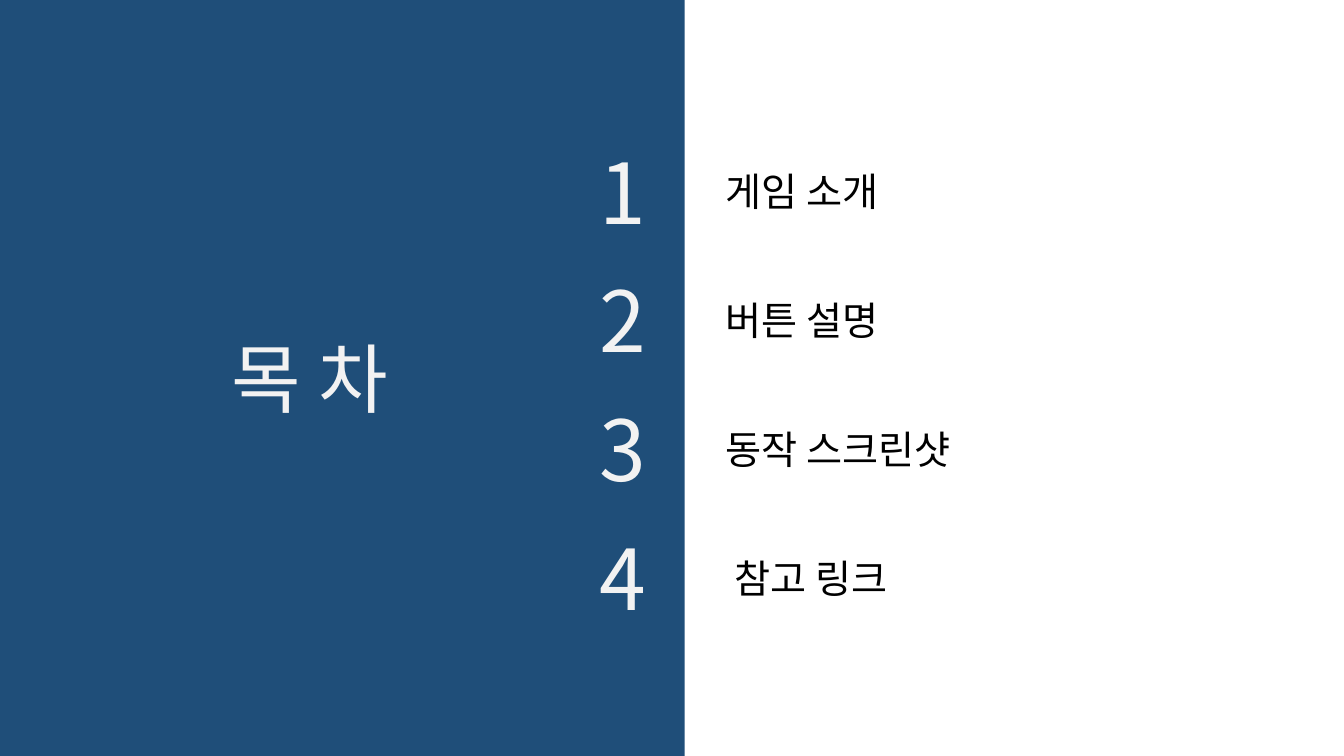
from lxml import etree
from pptx import Presentation
from pptx.dml.color import RGBColor
from pptx.enum.shapes import MSO_SHAPE
from pptx.enum.text import MSO_ANCHOR, MSO_AUTO_SIZE, PP_ALIGN
from pptx.oxml.ns import qn
from pptx.util import Pt

RECT = MSO_SHAPE.RECTANGLE
TOP = MSO_ANCHOR.TOP
FIXED = MSO_AUTO_SIZE.NONE
LEFT = PP_ALIGN.LEFT

FONT = "Noto Sans CJK KR"
NAVY, PALE, BLACK = "1F4E79", "F2F2F2", "000000"
WIDTH, HEIGHT = 960, 540
PANEL_WIDTH = 489
ITEM_PITCH = 92
FRAME = {"word_wrap": True, "auto_size": FIXED, "vertical_anchor": TOP}
ITEMS = [
    ("1", 39, "게임 소개", 142),
    ("2", 52, "버튼 설명", 135),
    ("3", 52, "동작 스크린샷", 192),
    ("4", 54, " 참고 링크", 142),
]


def color(value):
    return RGBColor.from_string(value)


def fill(sp, hue):
    sp.fill.solid()
    sp.fill.fore_color.rgb = color(hue)


def place(sp, x, y, w, h):
    box = {"left": x, "top": y, "width": w, "height": h}
    for name, value in box.items():
        setattr(sp, name, Pt(value))


def write(sp, text, size, hue):
    tf = sp.text_frame
    for name, value in FRAME.items():
        setattr(tf, name, value)
    p = tf.paragraphs[0]
    p.alignment = LEFT
    p.line_spacing = 1.0
    r = p.add_run()
    r.text = text
    for name, value in {"name": FONT, "size": Pt(size)}.items():
        setattr(r.font, name, value)
    r.font.color.rgb = color(hue)
    etree.SubElement(r.font._element, qn("a:ea"), typeface=FONT)


def add_block(s, x, y, w, h):
    sp = s.shapes.add_shape(RECT, Pt(x), Pt(y), Pt(w), Pt(h))
    sp.shadow.inherit = False
    fill(sp, NAVY)
    sp.line.fill.background()
    return sp


def title_panel(s, x, y, w, h):
    panel = add_block(s, x, y, w, h)
    title = s.shapes.title
    place(title, x + 158.4, y + 233.6, 140, 73)
    fill(title, NAVY)
    write(title, "목 차", 54, PALE)
    panel._element.addnext(title._element)


def contents_list(s, x, y):
    for i, (number, number_width, text, text_width) in enumerate(ITEMS):
        top = y + i * ITEM_PITCH
        write(add_block(s, x, top, number_width, 80), number, 60, PALE)
        label = s.shapes.add_textbox(Pt(x + 90), Pt(top + 19.6), Pt(text_width), Pt(41))
        write(label, text, 28, BLACK)


def main():
    prs = Presentation()
    prs.slide_width, prs.slide_height = Pt(WIDTH), Pt(HEIGHT)
    s = prs.slides.add_slide(prs.slide_layouts[5])
    title_panel(s, 0, 0, PANEL_WIDTH, HEIGHT)
    contents_list(s, 421.2, 96.5)
    prs.save("out.pptx")


if __name__ == "__main__":
    main()
